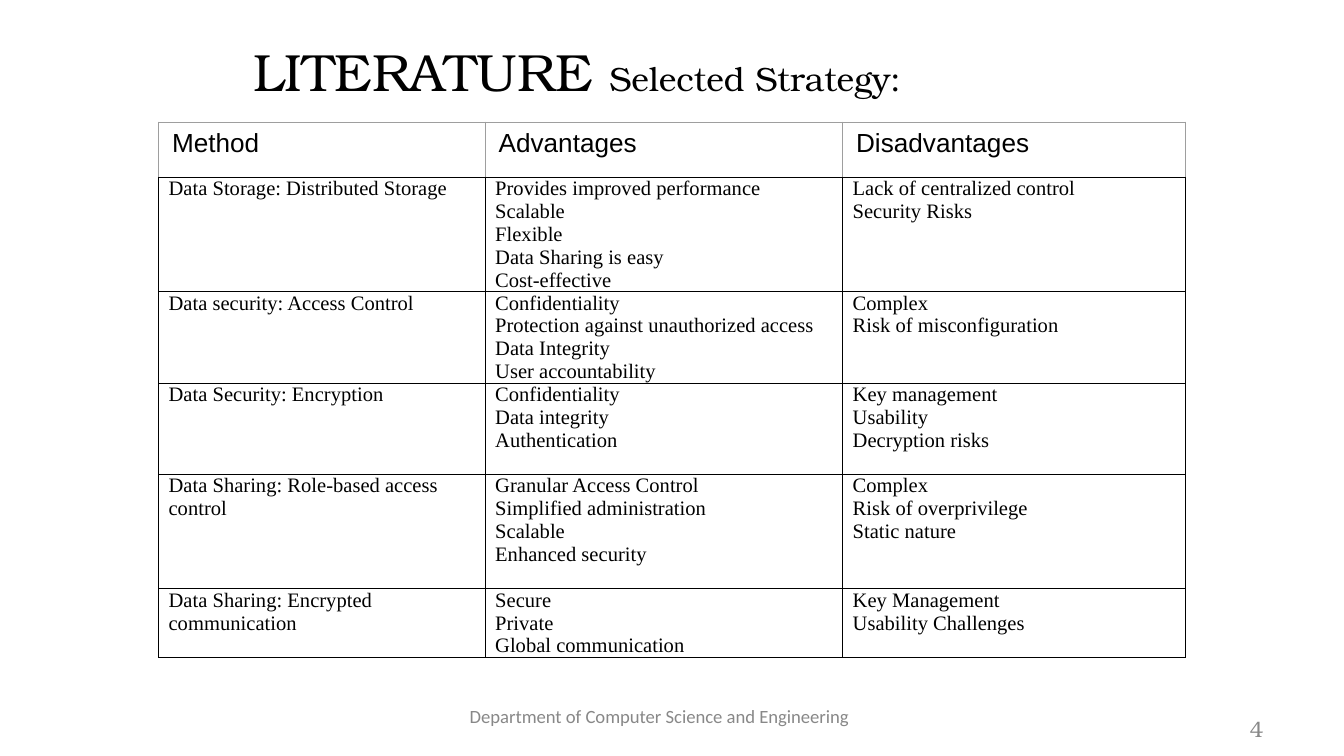
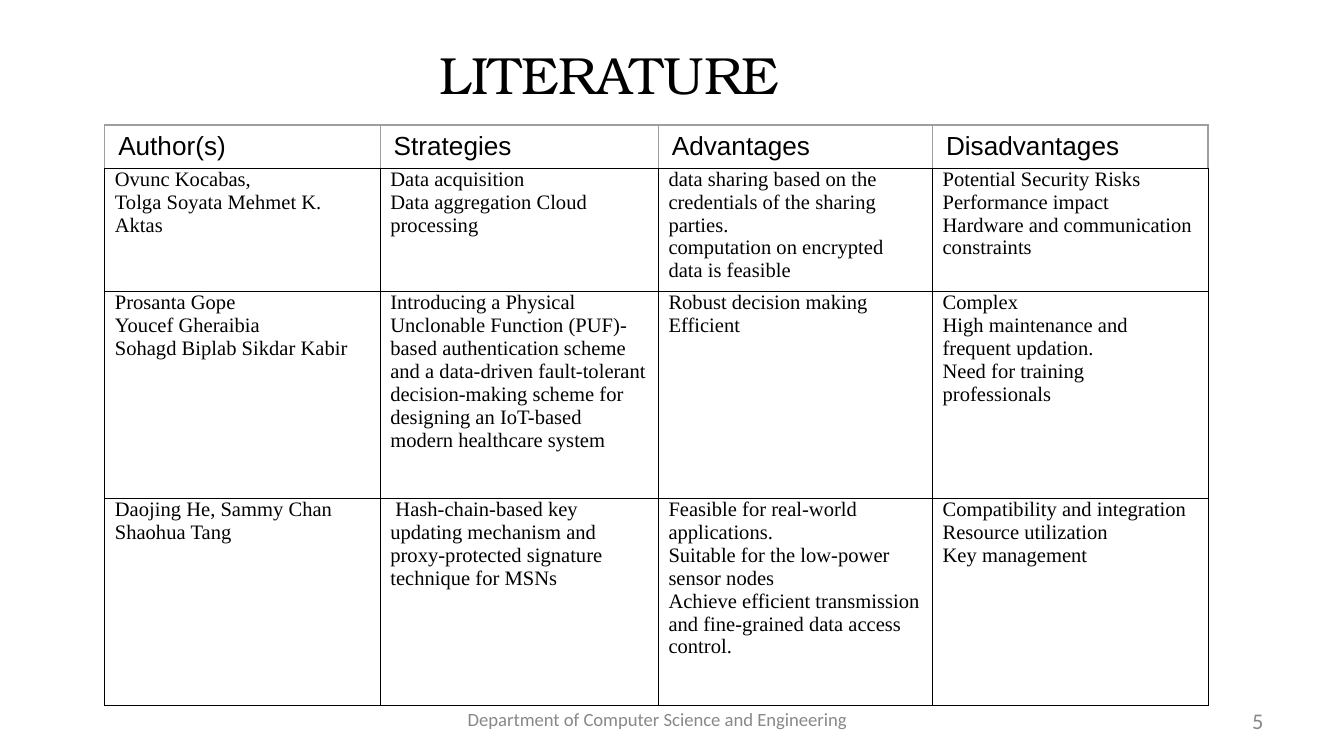
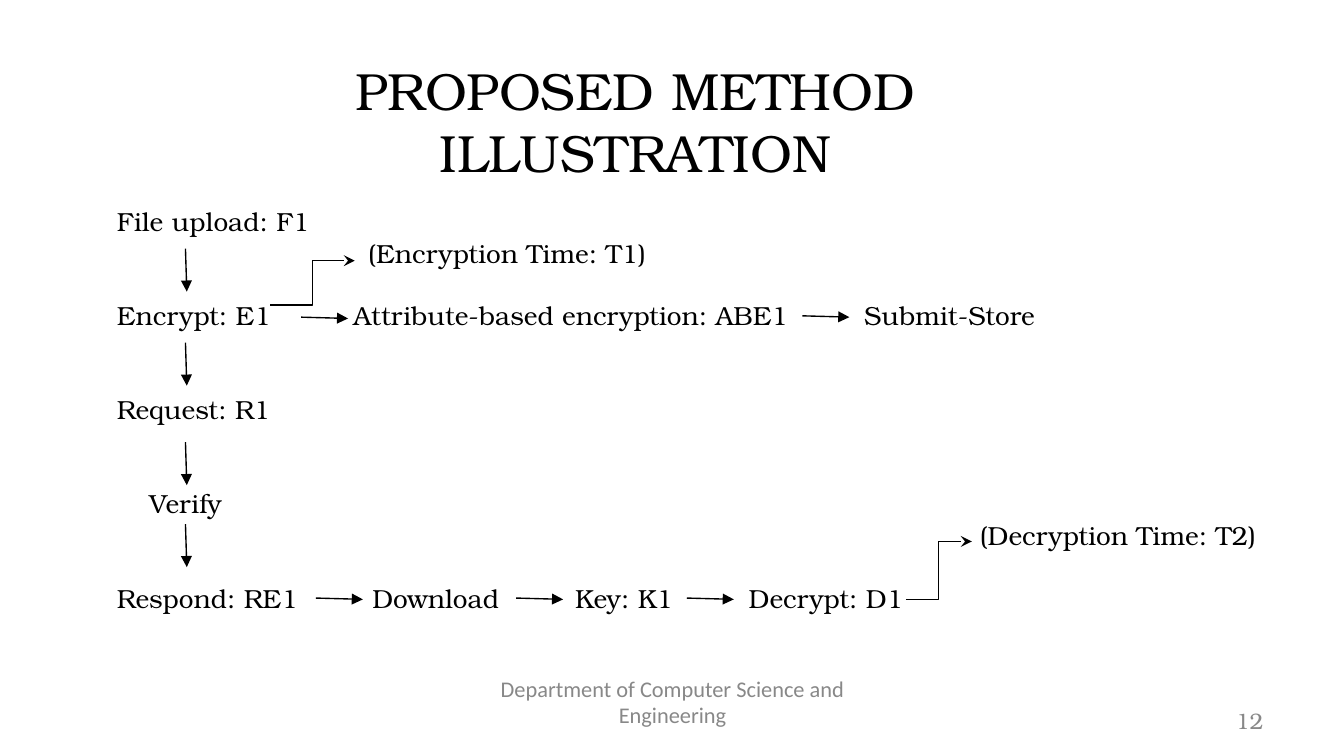
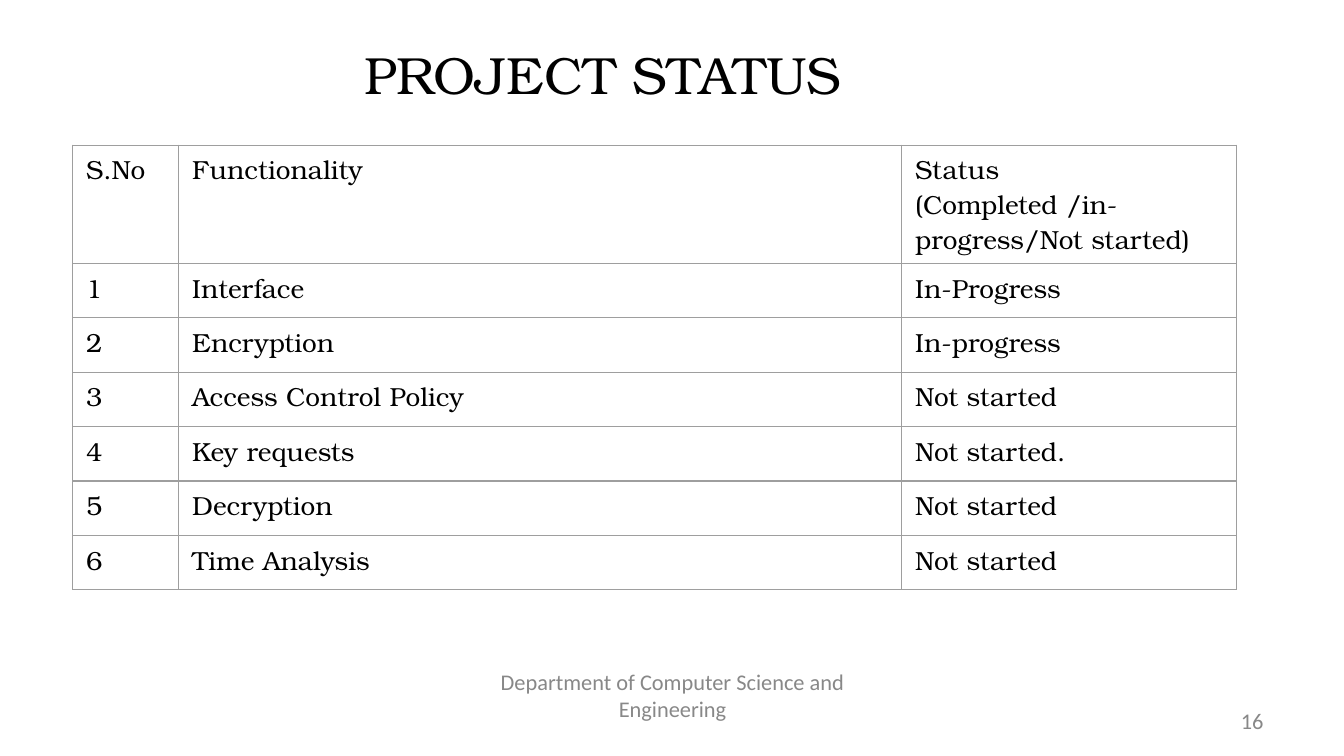
from lxml.etree import SubElement
from pptx import Presentation
from pptx.dml.color import RGBColor
from pptx.enum.shapes import MSO_CONNECTOR as LINK
from pptx.enum.text import MSO_ANCHOR as ANCHOR, MSO_AUTO_SIZE as FIT, PP_ALIGN as ALIGN
from pptx.oxml.ns import qn
from pptx.util import Inches, Pt

WIDE = 10
HIGH = WIDE * 9 / 16
SERIF, SANS, ROMAN, PLAIN = "TeX Gyre Bonum", "Arial", "Times New Roman", "Calibri"
BLACK, GREY, MUTED = "000000", "9E9E9E", "888888"
THIN, FINE = (BLACK, 0.5), (GREY, 0.75)
DEPT = "Department of Computer Science and Engineering"
HEAD_PAD, BODY_PAD = (0.1, 0.05), (5.4 / 72, 0)

METHODS = [
    ("Method", "Advantages", "Disadvantages"),
    ("Data Storage: Distributed Storage",
     "Provides improved performance\nScalable\nFlexible\nData Sharing is easy\nCost-effective",
     "Lack of centralized control\nSecurity Risks"),
    ("Data security: Access Control",
     "Confidentiality\nProtection against unauthorized access\nData Integrity\nUser accountability",
     "Complex\nRisk of misconfiguration"),
    ("Data Security: Encryption",
     "Confidentiality\nData integrity\nAuthentication",
     "Key management\nUsability\nDecryption risks"),
    ("Data Sharing: Role-based access control",
     "Granular Access Control\nSimplified administration\nScalable\nEnhanced security",
     "Complex\nRisk of overprivilege\nStatic nature"),
    ("Data Sharing: Encrypted communication",
     "Secure\nPrivate\nGlobal communication",
     "Key Management\nUsability Challenges"),
]
PAPERS = [
    ("Author(s)", "Strategies", "Advantages", "Disadvantages"),
    ("Ovunc Kocabas,\nTolga Soyata Mehmet K. Aktas",
     "Data acquisition\nData aggregation Cloud processing",
     "data sharing based on the credentials of the sharing parties.\n"
     "computation on encrypted data is feasible",
     "Potential Security Risks\nPerformance impact\nHardware and communication constraints"),
    ("Prosanta Gope\nYoucef Gheraibia\nSohagd Biplab Sikdar Kabir",
     "Introducing a Physical Unclonable Function (PUF)-based authentication scheme and a "
     "data-driven fault-tolerant decision-making scheme for designing an IoT-based modern "
     "healthcare system",
     "Robust decision making\nEfficient",
     "Complex\nHigh maintenance and frequent updation.\nNeed for training professionals"),
    ("Daojing He, Sammy Chan\nShaohua Tang",
     " Hash-chain-based key updating mechanism and proxy-protected signature technique for MSNs",
     "Feasible for real-world applications.\nSuitable for the low-power sensor nodes\n"
     "Achieve efficient transmission and fine-grained data access control.",
     "Compatibility and integration\nResource utilization\nKey management"),
]
TASKS = [
    ("Interface", "In-Progress"), ("Encryption", "In-progress"),
    ("Access Control Policy", "Not started"), ("Key requests", "Not started."),
    ("Decryption", "Not started"), ("Time Analysis", "Not started"),
]
STATUS = [("S.No", "Functionality", "Status\n(Completed /in-progress/Not started)")]
STATUS += [(str(n), *task) for n, task in enumerate(TASKS, 1)]

# Flow steps: text line, left, width, label
LINE, FLOW_TOP = 2.8 / 12, 1.53
STEPS = [
    (0, 0.87, 1.43, "File upload: F1"),
    (1, 2.74, 2.06, "(Encryption Time: T1)"),
    (3, 0.87, 1.16, "Encrypt: E1"),
    (3, 2.63, 3.24, "Attribute-based encryption: ABE1"),
    (3, 6.43, 1.28, "Submit-Store"),
    (6, 0.87, 1.15, "Request: R1"),
    (9, 1.11, 0.55, "Verify"),
    (10, 7.29, 2.05, "(Decryption Time: T2)"),
    (12, 0.87, 1.35, "Respond: RE1"),
    (12, 2.77, 0.95, "Download"),
    (12, 4.28, 0.73, "Key: K1"),
    (12, 5.57, 1.15, "Decrypt: D1"),
]
DOWN = [1.85, 2.55, 3.29, 3.9]
ACROSS = [(2.24, 2.36), (5.97, 2.35), (2.35, 4.45), (3.84, 4.45), (5.11, 4.45)]
BENDS = [(2.01, 2.27, 2.64, 1.94), (6.74, 4.46, 7.23, 4.03)]


def tint(code):
    return RGBColor.from_string(code)


def put(frame, text, size=14, font=SERIF, color=BLACK, align=ALIGN.LEFT,
        anchor=ANCHOR.TOP, pad=(0, 0), tail=None):
    """Fill a frame, one paragraph a line; tail is (text, size) for a last run."""
    frame.word_wrap = True
    frame.vertical_anchor = anchor
    frame.margin_left = frame.margin_right = Inches(pad[0])
    frame.margin_top = frame.margin_bottom = Inches(pad[1])
    for n, line in enumerate(text.split("\n")):
        para = frame.add_paragraph() if n else frame.paragraphs[0]
        para.alignment = align
        for words, points in [(line, size)] + ([tail] if tail else []):
            run = para.add_run()
            run.text = words
            run.font.size, run.font.name = Pt(points), font
            run.font.color.rgb = tint(color)


def label(slide, box, text, **style):
    put(slide.shapes.add_textbox(*map(Inches, box)).text_frame, text, **style)


def start(deck, text, box, **style):
    """Add a slide with its title in place."""
    slide = deck.slides.add_slide(deck.slide_layouts[5])
    title = slide.shapes.title
    title.left, title.top, title.width, title.height = map(Inches, box)
    title.text_frame.auto_size = FIT.NONE
    look = dict(size=28, align=ALIGN.CENTER, anchor=ANCHOR.MIDDLE, pad=HEAD_PAD)
    put(title.text_frame, text, **{**look, **style})
    return slide


def small(slide, box, text, **style):
    """Add a muted footer text."""
    look = dict(size=12, font=PLAIN, color=MUTED, align=ALIGN.CENTER,
                anchor=ANCHOR.MIDDLE, pad=HEAD_PAD)
    label(slide, box, text, **{**look, **style})


def foot(slide, box, **style):
    small(slide, box, DEPT, **style)


def page(slide, number, box=(7.17, 5.21, 2.33, 0.3), **style):
    small(slide, box, str(number), **{"align": ALIGN.RIGHT, **style})


def edge(cell, sides):
    """Draw cell borders; sides maps L, R, T, B to (colour, points)."""
    props = cell._tc.get_or_add_tcPr()
    for side in "LRTB":
        color, points = sides[side]
        line = SubElement(props, qn(f"a:ln{side}"), w=str(Pt(points)))
        SubElement(SubElement(line, qn("a:solidFill")), qn("a:srgbClr"), val=color)


def grid(slide, rows, left, top, cols, highs, head, body, rule):
    """Add a table; head and body are text formats, rule is the body border."""
    table = slide.shapes.add_table(
        len(rows), len(cols), *map(Inches, (left, top, sum(cols), sum(highs)))).table
    table.first_row = table.horz_banding = False
    for col, wide in zip(table.columns, cols):
        col.width = Inches(wide)
    for r, (row, high) in enumerate(zip(rows, highs)):
        table.rows[r].height = Inches(high)
        sides = dict.fromkeys("LRTB", rule if r else FINE)
        if r == 0:
            sides["B"] = rule
        for c, text in enumerate(row):
            cell = table.cell(r, c)
            look = body if r else head
            pad = look["pad"]
            put(cell.text_frame, text, **look)
            cell.margin_left = cell.margin_right = Inches(pad[0])
            cell.margin_top = cell.margin_bottom = Inches(pad[1])
            edge(cell, sides)
            cell.fill.background()


def arrow(slide, ends, kind=LINK.STRAIGHT, tip="triangle"):
    link = slide.shapes.add_connector(kind, *map(Inches, ends))
    link.line.color.rgb, link.line.width = tint(BLACK), Pt(0.75)
    SubElement(link.line._get_or_add_ln(), qn("a:tailEnd"), type=tip)
    SubElement(link._element.spPr, qn("a:effectLst"))


def flow(slide):
    for row, left, wide, text in STEPS:
        label(slide, (left, FLOW_TOP + row * LINE, wide + 0.1, LINE), text)
    for y in DOWN:
        arrow(slide, (1.38, y, 1.39, y + 0.32))
    for x, y in ACROSS:
        arrow(slide, (x, y, x + 0.35, y + 0.01))
    for ends in BENDS:
        arrow(slide, ends, LINK.ELBOW, "stealth")


def main():
    deck = Presentation()
    deck.slide_width, deck.slide_height = Inches(WIDE), Inches(HIGH)
    head = dict(font=SANS, pad=HEAD_PAD)
    body = dict(size=11, font=ROMAN, pad=BODY_PAD)
    note = dict(size=10, anchor=ANCHOR.TOP, pad=(0.1, 0.1))

    slide = start(deck, "LITERATURE ", (0.95, 0.18, 6.69, 0.69),
                  tail=("Selected Strategy:", 18))
    grid(slide, METHODS, 1.18, 0.91, [2.43, 2.66, 2.55],
         [0.41, 0.85, 0.68, 0.68, 0.85, 0.51], head, body, THIN)
    foot(slide, (3.38, 5.16, 3.05, 0.37), **note)
    page(slide, 4, (9.2, 5.22, 0.8, 0.4), font=SERIF, align=ALIGN.LEFT,
         anchor=ANCHOR.TOP, pad=(0.1, 0.1))

    slide = start(deck, "LITERATURE", (1.19, 0.2, 6.69, 0.69))
    grid(slide, PAPERS, 0.78, 0.93, [2.05, 2.07, 2.04, 2.05],
         [0.32, 0.92, 1.54, 1.54], head, body, THIN)
    foot(slide, (3.25, 5.18, 3.28, 0.37), **note)
    page(slide, 5)

    slide = start(deck, "PROPOSED METHOD ILLUSTRATION", (1.12, 0.33, 7.21, 1.14),
                  anchor=ANCHOR.TOP, pad=(0.1, 0.1))
    flow(slide)
    foot(slide, (3.42, 5.07, 3.17, 0.3))
    page(slide, 12, font=SERIF)

    slide = start(deck, "PROJECT STATUS", (1.14, 0.2, 6.69, 0.69))
    cell = dict(pad=HEAD_PAD)
    grid(slide, STATUS, 0.54, 1.08, [0.79, 5.38, 2.49],
         [0.88] + [2.43 / len(TASKS)] * len(TASKS), cell, cell, FINE)
    foot(slide, (3.42, 5.02, 3.17, 0.3))
    page(slide, 16)

    deck.save("out.pptx")


if __name__ == "__main__":
    main()
